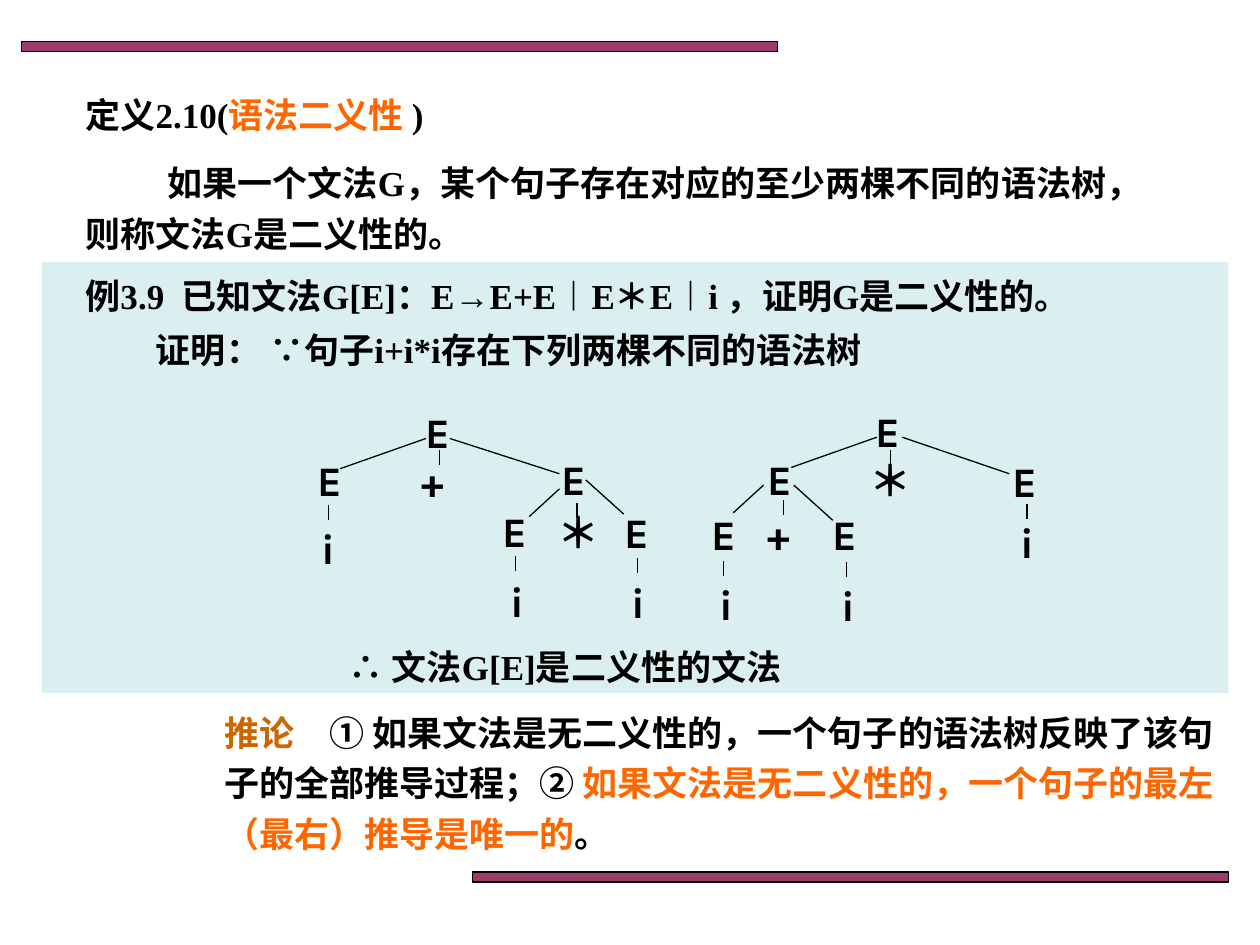
from dataclasses import dataclass

from lxml import etree
from pptx import Presentation
from pptx.dml.color import RGBColor
from pptx.enum.shapes import MSO_CONNECTOR, MSO_SHAPE
from pptx.enum.text import MSO_ANCHOR, MSO_AUTO_SIZE
from pptx.oxml.ns import qn
from pptx.util import Pt

RECTANGLE = MSO_SHAPE.RECTANGLE
STRAIGHT = MSO_CONNECTOR.STRAIGHT
TOP = MSO_ANCHOR.TOP
GROW = MSO_AUTO_SIZE.SHAPE_TO_FIT_TEXT
EMU_PER_PX = 9144


@dataclass(frozen=True)
class Theme:
    """Colours, fonts and type sizes of the deck."""
    ink: str = "000000"
    bar: str = "993366"
    panel: str = "BBE0E3"
    accent: str = "FF6600"
    label: str = "CC6600"
    body_font: str = "Times New Roman"
    node_font: str = "Karla"
    body_size: int = 20
    node_size: int = 24
    line_width: float = 0.75


THEME = Theme()
NODE_WIDTH, NODE_HEIGHT, STEM_LENGTH = 49, 37, 12

SUM_TREE = {
    "nodes": [("E", 86, 0), ("E", 0, 38), ("+", 83, 39), ("E", 194, 37),
              ("E", 147, 78), ("＊", 191, 79), ("E", 244, 79),
              ("i", 3, 92), ("i", 153, 134), ("i", 249, 135)],
    "branches": [(96, 30, 28, 54), (115, 30, 202, 58),
                 (202, 70, 178, 92), (223, 63, 253, 90)],
    "stems": [(107, 39), (216, 81), (19, 83), (167, 123), (264, 125)],
}
PRODUCT_TREE = {
    "nodes": [("E", 130, 0), ("E", 44, 38), ("＊", 125, 39), ("E", 239, 40),
              ("E", 0, 82), ("+", 44, 82), ("E", 96, 82),
              ("i", 6, 137), ("i", 103, 138), ("i", 245, 88)],
    "branches": [(141, 30, 73, 54), (161, 30, 246, 59),
                 (51, 68, 27, 90), (75, 68, 106, 96)],
    "stems": [(152, 40), (67, 80), (260, 83), (117, 129), (19, 128)],
}


def px(*lengths):
    """Turn px lengths into EMU."""
    return [length * EMU_PER_PX for length in lengths]


def add_panel(page, box, colour, opacity, outlined=False):
    """Place a translucent rectangle."""
    shape = page.shapes.add_shape(RECTANGLE, *px(*box))
    shape.shadow.inherit = False
    shape.fill.solid()
    shape.fill.fore_color.rgb = RGBColor.from_string(colour)
    tint = shape.fill._xPr.find(".//" + qn("a:srgbClr"))
    etree.SubElement(tint, qn("a:alpha")).set("val", str(opacity * 1000))
    if outlined:
        shape.line.color.rgb = RGBColor.from_string(THEME.ink)
        shape.line.width = Pt(THEME.line_width)
    else:
        shape.line.fill.background()


def add_line(page, start_x, start_y, end_x, end_y):
    """Draw a thin straight line."""
    line = page.shapes.add_connector(STRAIGHT, *px(start_x, start_y, end_x, end_y))
    line.line.color.rgb = RGBColor.from_string(THEME.ink)
    line.line.width = Pt(THEME.line_width)
    etree.SubElement(line._element.spPr, qn("a:effectLst"))


def add_span(para, text, colour, font, size):
    """Append one bold run to a paragraph."""
    span = para.add_run()
    span.text = text
    span.font.name = font
    span.font.size = Pt(size)
    span.font.bold = True
    span.font.color.rgb = RGBColor.from_string(colour)


def add_frame(page, box):
    """Place an empty wrapping text box and return its frame."""
    frame = page.shapes.add_textbox(*px(*box)).text_frame
    frame.word_wrap = True
    frame.vertical_anchor = TOP
    return frame


def add_body(page, box, paragraphs, spacing=1.0, indents=(0,)):
    """Write paragraphs of (text, colour) spans in the body style."""
    frame = add_frame(page, box)
    frame.auto_size = GROW
    for index, (spans, indent) in enumerate(zip(paragraphs, indents)):
        para = frame.add_paragraph() if index else frame.paragraphs[0]
        para.line_spacing = spacing
        para.space_before = Pt(4 if index else 0)
        para._p.get_or_add_pPr().set("indent", str(*px(indent)))
        for text, colour in spans:
            add_span(para, text, colour, THEME.body_font, THEME.body_size)


def add_tree(page, box, nodes, branches, stems):
    """Draw a syntax tree relative to its box."""
    left, top = box[:2]
    for symbol, x, y in nodes:
        frame = add_frame(page, (left + x, top + y, NODE_WIDTH, NODE_HEIGHT))
        add_span(frame.paragraphs[0], symbol, THEME.ink, THEME.node_font, THEME.node_size)
    uprights = [(x, y, x, y + STEM_LENGTH) for x, y in stems]
    for start_x, start_y, end_x, end_y in branches + uprights:
        add_line(page, left + start_x, top + start_y, left + end_x, top + end_y)


def add_definition(page, box):
    """Write the definition heading and its statement."""
    left, top, width, height = box
    add_body(page, (left, top, 358, 43), [[
        ("定义2.10(", THEME.ink), ("语法二义性 ", THEME.accent), (")", THEME.ink)]])
    add_body(page, (left, top + 48, width, height - 48), [[
        ("如果一个文法G，某个句子存在对应的至少两棵不同的语法树，则称文法G是二义性的。", THEME.ink)]],
        spacing=1.2, indents=(65,))


def add_example(page, box):
    """Build the example panel with its two syntax trees."""
    left, top = box[:2]
    add_panel(page, box, THEME.panel, 50)
    add_body(page, (left + 25, top + 2, 800, 90), [
        [("例3.9  已知文法G[E]：E→E+E︱E＊E︱i ，证明G是二义性的。", THEME.ink)],
        [("证明： ∵句子i+i*i存在下列两棵不同的语法树", THEME.ink)]],
        spacing=1.1, indents=(0, 56))
    add_tree(page, (left + 209, top + 110, 293, 172), **SUM_TREE)
    add_tree(page, (left + 522, top + 109, 294, 175), **PRODUCT_TREE)
    add_body(page, (left + 234, top + 299, 475, 43),
             [[("∴ 文法G[E]是二义性的文法", THEME.ink)]])


def add_corollary(page, box):
    """Write the corollary."""
    add_body(page, box, [[
        ("推论　", THEME.label),
        ("① 如果文法是无二义性的，一个句子的语法树反映了该句子的全部推导过程；② ", THEME.ink),
        ("如果文法是无二义性的，一个句子的最左（最右）推导是唯一的", THEME.accent),
        ("。", THEME.ink)]], spacing=1.2)


def main():
    """Build and save the deck."""
    deck = Presentation()
    deck.slide_width, deck.slide_height = px(1000, 750)
    page = deck.slides.add_slide(deck.slide_layouts[6])
    for left, top in ((17, 33), (375, 692)):
        add_panel(page, (left, top, 600, 8), THEME.bar, 96, outlined=True)
    add_corollary(page, (168, 553, 807, 130))
    add_example(page, (33, 208, 942, 342))
    add_definition(page, (58, 69, 858, 138))
    deck.save("out.pptx")


if __name__ == "__main__":
    main()
